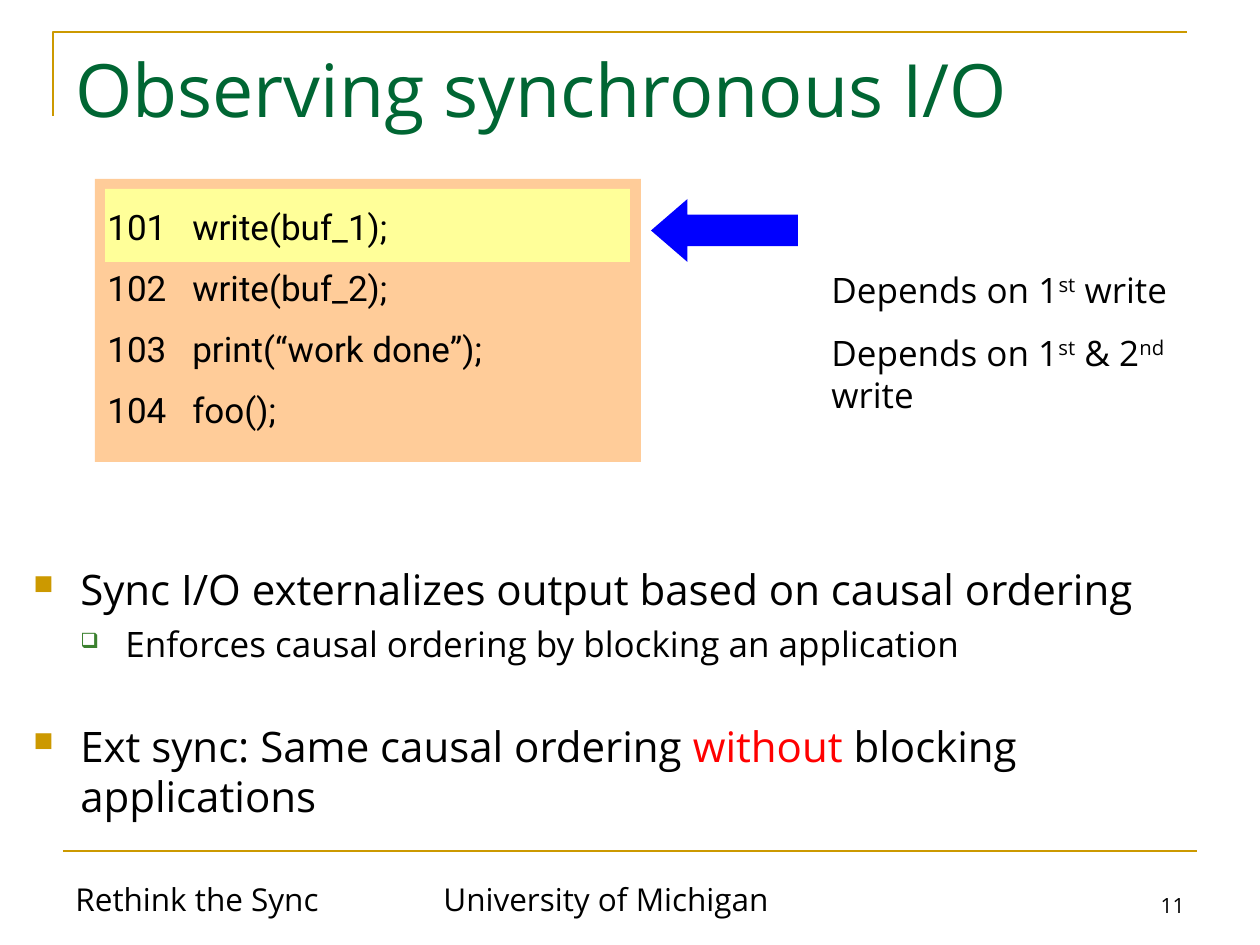
"""Build the slide on observing synchronous I/O."""
from dataclasses import dataclass
from typing import Optional

import lxml.etree
import pptx
import pptx.dml.color
import pptx.enum.shapes
import pptx.enum.text
import pptx.oxml.ns
import pptx.util

SCALE = 914400 // 126
ANCHOR = pptx.enum.text.MSO_ANCHOR
ALIGN = pptx.enum.text.PP_ALIGN
SHAPE = pptx.enum.shapes.MSO_SHAPE


@dataclass(frozen=True)
class Theme:
    font: str = "Open Sans"
    code_font: str = "Roboto"
    black: str = "000000"
    gold: str = "CC9900"
    title_green: str = "006633"
    bullet_green: str = "3B812F"
    peach: str = "FFCC99"
    yellow: str = "FFFF99"
    blue: str = "0000FF"
    red: str = "FF0000"
    title: int = 42
    body: int = 24
    text: int = 20
    footer: int = 18
    number: int = 12
    rule: float = 1.5
    line_height: float = 1.2


THEME = Theme()


@dataclass(frozen=True)
class Box:
    left: int
    top: int
    width: int
    height: int

    def emu(self) -> list[int]:
        return [px(value) for value in (self.left, self.top, self.width, self.height)]


@dataclass(frozen=True)
class Span:
    text: str
    color: str = THEME.black
    superscript: bool = False


@dataclass(frozen=True)
class Bullet:
    character: str
    color: str
    percent: int


@dataclass(frozen=True)
class Line:
    spans: tuple[Span, ...]
    size: int = THEME.text
    before: int = 0
    margin: int = 0
    hanging: int = 0
    bullet: Optional[Bullet] = None


def px(value: int) -> int:
    return value * SCALE


def rgb(value: str) -> pptx.dml.color.RGBColor:
    return pptx.dml.color.RGBColor.from_string(value)


def add_bullet(properties, bullet: Bullet) -> None:
    def add(parent, tag: str, **attributes: str):
        return lxml.etree.SubElement(parent, pptx.oxml.ns.qn(tag), attributes)

    add(add(properties, "a:buClr"), "a:srgbClr", val=bullet.color)
    add(properties, "a:buSzPct", val=str(bullet.percent * 1000))
    add(properties, "a:buChar", char=bullet.character)


def add_text(slide, box: Box, lines: list[Line], *, font: str = THEME.font,
             anchor=ANCHOR.TOP, align=ALIGN.LEFT, fixed_height: bool = False) -> None:
    frame = slide.shapes.add_textbox(*box.emu()).text_frame
    frame.word_wrap = True
    frame.vertical_anchor = anchor
    for index, line in enumerate(lines):
        paragraph = frame.add_paragraph() if index else frame.paragraphs[0]
        paragraph.alignment = align
        paragraph.space_before = pptx.util.Pt(line.before)
        if fixed_height:
            paragraph.line_spacing = pptx.util.Pt(line.size * THEME.line_height)
        properties = paragraph._p.get_or_add_pPr()
        properties.set("marL", str(px(line.margin)))
        properties.set("indent", str(px(-line.hanging)))
        if line.bullet:
            add_bullet(properties, line.bullet)
        for span in line.spans:
            run = paragraph.add_run()
            run.text = span.text
            run.font.name = font
            run.font.size = pptx.util.Pt(line.size)
            run.font.color.rgb = rgb(span.color)
            if span.superscript:
                run._r.get_or_add_rPr().set("baseline", "30000")


def add_block(slide, kind, box: Box, color: str):
    shape = slide.shapes.add_shape(kind, *box.emu())
    shape.shadow.inherit = False
    shape.fill.solid()
    shape.fill.fore_color.rgb = rgb(color)
    shape.line.fill.background()
    return shape


def style_rule(shape) -> None:
    shape.line.color.rgb = rgb(THEME.gold)
    shape.line.width = pptx.util.Pt(THEME.rule)


def add_rules(slide) -> None:
    builder = slide.shapes.build_freeform(53, 116, scale=SCALE)
    builder.add_line_segments([(53, 32), (1187, 32)], close=False)
    corner = builder.convert_to_shape()
    corner.shadow.inherit = False
    corner.fill.background()
    style_rule(corner)
    footer_rule = slide.shapes.add_connector(
        pptx.enum.shapes.MSO_CONNECTOR.STRAIGHT, px(63), px(851), px(1197), px(851))
    lxml.etree.SubElement(footer_rule._element.spPr, pptx.oxml.ns.qn("a:effectLst"))
    style_rule(footer_rule)
    properties = footer_rule._element.spPr
    properties.append(properties.find(pptx.oxml.ns.qn("a:effectLst")))


def add_footer(slide) -> None:
    for text, left, width, size, align in (
        ("Rethink the Sync", 63, 294, THEME.footer, ALIGN.LEFT),
        ("University of Michigan", 431, 399, THEME.footer, ALIGN.LEFT),
        ("11", 903, 294, THEME.number, ALIGN.RIGHT),
    ):
        add_text(slide, Box(left, 861, width, 63), [Line((Span(text),), size)],
                 anchor=ANCHOR.BOTTOM, align=align)


def add_code(slide) -> None:
    add_block(slide, SHAPE.RECTANGLE, Box(95, 179, 546, 283), THEME.peach)
    add_block(slide, SHAPE.RECTANGLE, Box(105, 189, 525, 73), THEME.yellow)
    statements = ("write(buf_1);", "write(buf_2);", "print(“work done”);", "foo();")
    lines = [Line((Span(f"{number}\t{statement}"),), before=11, margin=85, hanging=85)
             for number, statement in enumerate(statements, 101)]
    add_text(slide, Box(95, 199, 557, 243), lines, font=THEME.code_font)
    arrow = add_block(slide, SHAPE.LEFT_ARROW, Box(651, 199, 147, 63), THEME.blue)
    arrow.adjustments[0] = 0.5
    arrow.adjustments[1] = 0.58


def add_dependencies(slide) -> None:
    first = (Span("Depends on 1"), Span("st", superscript=True))
    second = (Span(" & 2"), Span("nd", superscript=True))
    write = (Span(" write"),)
    add_text(slide, Box(819, 262, 410, 54), [Line(first + write)], fixed_height=True)
    add_text(slide, Box(819, 325, 441, 54), [Line(first + second + write)],
             fixed_height=True)


def add_conclusions(slide) -> None:
    square = Bullet("■", THEME.gold, 65)
    hollow = Bullet("❑", THEME.bullet_green, 60)
    add_text(slide, Box(21, 557, 1239, 289), [
        Line((Span("Sync I/O externalizes output based on causal ordering"),),
             THEME.body, 5, 47, 47, square),
        Line((Span("Enforces causal ordering by blocking an application"),),
             THEME.text, 5, 92, 45, hollow),
        Line((Span("Ext sync: Same causal ordering "), Span("without", THEME.red),
              Span(" blocking applications")), THEME.body, 32, 47, 47, square),
    ], fixed_height=True)


def main() -> None:
    presentation = pptx.Presentation()
    presentation.slide_width = px(1260)
    presentation.slide_height = px(945)
    slide = presentation.slides.add_slide(presentation.slide_layouts[6])
    add_rules(slide)
    add_footer(slide)
    add_text(slide, Box(63, 38, 1134, 157),
             [Line((Span("Observing synchronous I/O", THEME.title_green),), THEME.title)])
    add_code(slide)
    add_conclusions(slide)
    add_dependencies(slide)
    presentation.save("out.pptx")


main()
